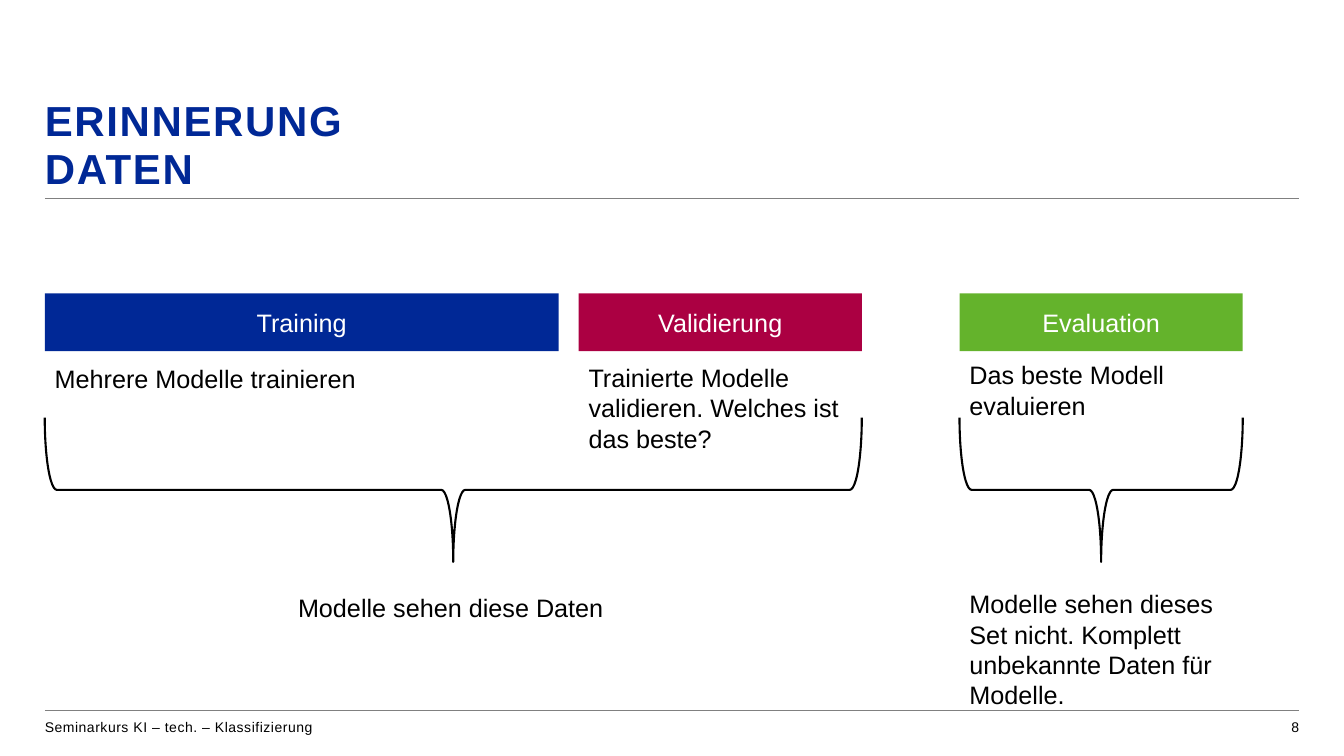
from lxml import etree
from pptx import Presentation
from pptx.dml.color import RGBColor
from pptx.enum.shapes import MSO_CONNECTOR, MSO_SHAPE
from pptx.enum.text import MSO_ANCHOR, PP_ALIGN
from pptx.oxml.ns import qn
from pptx.util import Pt

STRAIGHT = MSO_CONNECTOR.STRAIGHT
RECTANGLE = MSO_SHAPE.RECTANGLE
LEFT_BRACE = MSO_SHAPE.LEFT_BRACE
TOP, MIDDLE, BOTTOM = MSO_ANCHOR.TOP, MSO_ANCHOR.MIDDLE, MSO_ANCHOR.BOTTOM
LEFT, CENTER, RIGHT = PP_ALIGN.LEFT, PP_ALIGN.CENTER, PP_ALIGN.RIGHT

BLUE, RED, GREEN = "002896", "AB0042", "64B32C"
BLACK, WHITE, GRAY = "000000", "FFFFFF", "808080"
MARGIN, RIGHT_EDGE = 32, 928
VALIDATION_LEFT, EVALUATION_LEFT, SET_WIDTH = 413.3, 685.4, 202.3
VALIDATION_RIGHT = VALIDATION_LEFT + SET_WIDTH
BAR_TOP, BAR_HEIGHT = 209.6, 41.2
BRACE_TOP, BRACE_HEIGHT = 298.4, 103


def color(value):
    return RGBColor.from_string(value)


def add_span(para, text, size, ink, bold=False, spacing=0):
    span = para.add_run()
    span.text = text
    span.font.name = "Arial"
    span.font.size = Pt(size)
    span.font.bold = bold
    span.font.color.rgb = color(ink)
    if spacing:
        span.font._element.set("spc", str(round(spacing * 100)))


def set_frame(frame, anchor, inset=True):
    frame.word_wrap = True
    frame.vertical_anchor = anchor
    if not inset:
        frame.margin_left = frame.margin_right = Pt(0)
        frame.margin_top = frame.margin_bottom = Pt(0)


def set_title(page, lines):
    title = page.shapes.title
    title.left, title.top = Pt(MARGIN), Pt(70.6)
    title.width, title.height = Pt(RIGHT_EDGE - MARGIN), Pt(67.7)
    set_frame(title.text_frame, BOTTOM, inset=False)
    para = title.text_frame.paragraphs[0]
    para.alignment = LEFT
    para.line_spacing = 0.94
    for index, line in enumerate(lines):
        if index:
            para.add_line_break()
        add_span(para, line, 30, BLUE, bold=True, spacing=1.2)


def add_rule(page, top):
    rule = page.shapes.add_connector(STRAIGHT, Pt(MARGIN), Pt(top), Pt(RIGHT_EDGE), Pt(top))
    rule.line.color.rgb = color(GRAY)
    rule.line.width = Pt(0.5)
    etree.SubElement(rule._element.spPr, qn("a:effectLst"))


def add_text(page, text, left, top, width, height, size=18, inset=True, align=LEFT, spacing=0):
    box = page.shapes.add_textbox(Pt(left), Pt(top), Pt(width), Pt(height))
    set_frame(box.text_frame, TOP, inset)
    para = box.text_frame.paragraphs[0]
    para.alignment = align
    add_span(para, text, size, BLACK, spacing=spacing)


def add_bar(page, text, left, width, fill):
    bar = page.shapes.add_shape(RECTANGLE, Pt(left), Pt(BAR_TOP), Pt(width), Pt(BAR_HEIGHT))
    bar.shadow.inherit = False
    bar.fill.solid()
    bar.fill.fore_color.rgb = color(fill)
    bar.line.fill.background()
    set_frame(bar.text_frame, MIDDLE)
    para = bar.text_frame.paragraphs[0]
    para.alignment = CENTER
    add_span(para, text, 18, WHITE)


def add_brace_below(page, left, right):
    span_width = right - left
    box_left = (left + right - BRACE_HEIGHT) / 2
    box_top = BRACE_TOP + (BRACE_HEIGHT - span_width) / 2
    brace = page.shapes.add_shape(
        LEFT_BRACE, Pt(box_left), Pt(box_top), Pt(BRACE_HEIGHT), Pt(span_width))
    brace.rotation = 270
    brace.shadow.inherit = False
    brace.fill.background()
    brace.line.color.rgb = color(BLACK)
    brace.line.width = Pt(1.5)


def main():
    deck = Presentation()
    deck.slide_width, deck.slide_height = Pt(960), Pt(540)
    page = deck.slides.add_slide(deck.slide_layouts[5])

    set_title(page, ["ERINNERUNG", "DATEN"])
    for top in (141.8, 507.6):
        add_rule(page, top)
    add_text(page, "Seminarkurs KI – tech. – Klassifizierung", MARGIN, 513.4, 581, 17.3,
             size=10, inset=False, spacing=0.4)
    add_text(page, "8", 778, 513.4, 150, 17.3, size=10, inset=False, align=RIGHT)

    add_bar(page, "Training", MARGIN, 367, BLUE)
    add_bar(page, "Validierung", VALIDATION_LEFT, SET_WIDTH, RED)
    add_bar(page, "Evaluation", EVALUATION_LEFT, SET_WIDTH, GREEN)

    add_text(page, "Mehrere Modelle trainieren", MARGIN, 255.8, 348, 29)
    add_text(page, "Trainierte Modelle validieren. Welches ist das beste?",
             VALIDATION_LEFT, 255.3, SET_WIDTH, 72.7)
    add_text(page, "Das beste Modell evaluieren", EVALUATION_LEFT, 253.3, SET_WIDTH, 51)

    add_brace_below(page, MARGIN, VALIDATION_RIGHT)
    add_brace_below(page, EVALUATION_LEFT, EVALUATION_LEFT + SET_WIDTH)
    add_text(page, "Modelle sehen diese Daten", 205.8, 419.5, 348, 29)
    add_text(page, "Modelle sehen dieses Set nicht. Komplett unbekannte Daten für Modelle.",
             EVALUATION_LEFT, 417, SET_WIDTH, 94.3)

    deck.save("out.pptx")


if __name__ == "__main__":
    main()
